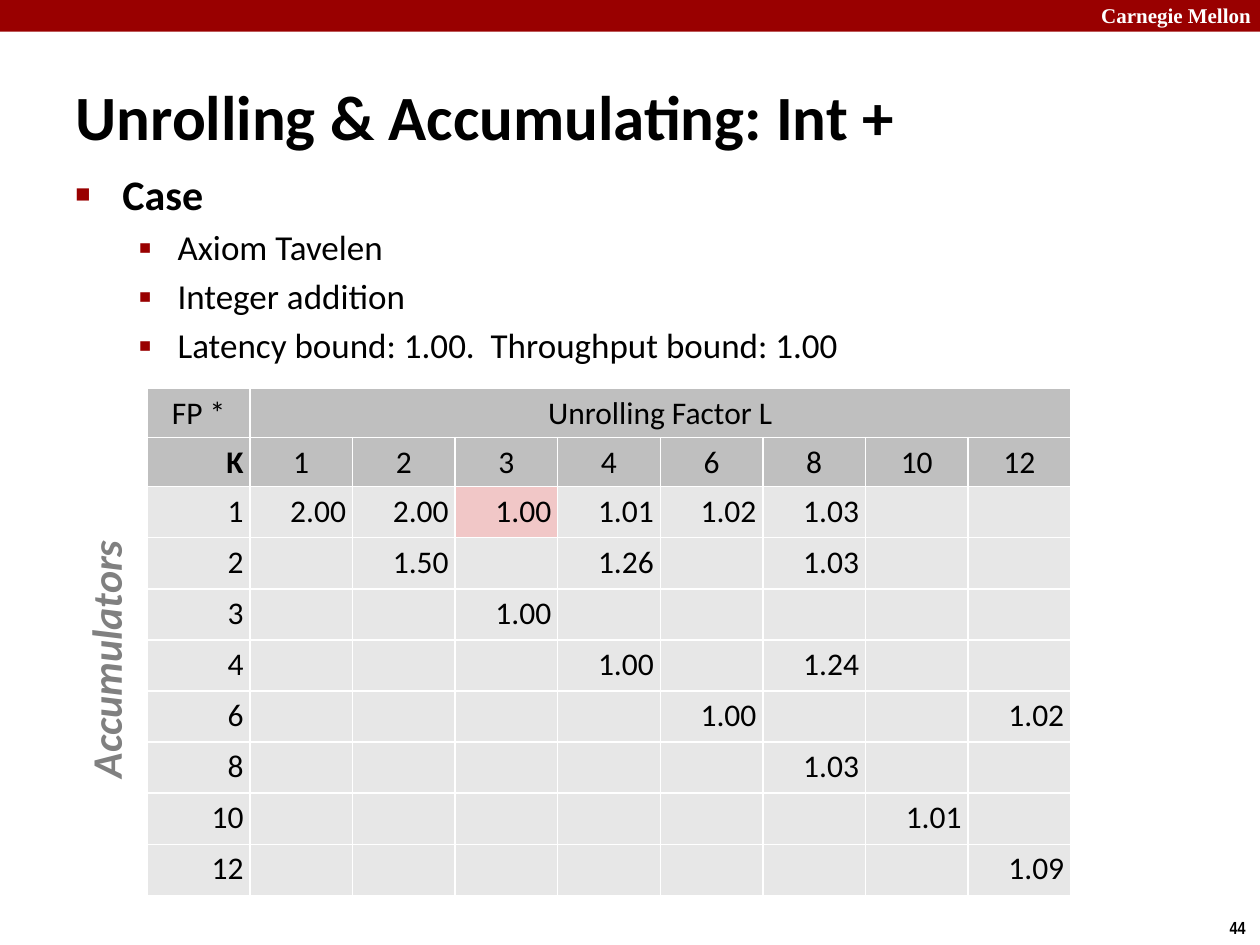
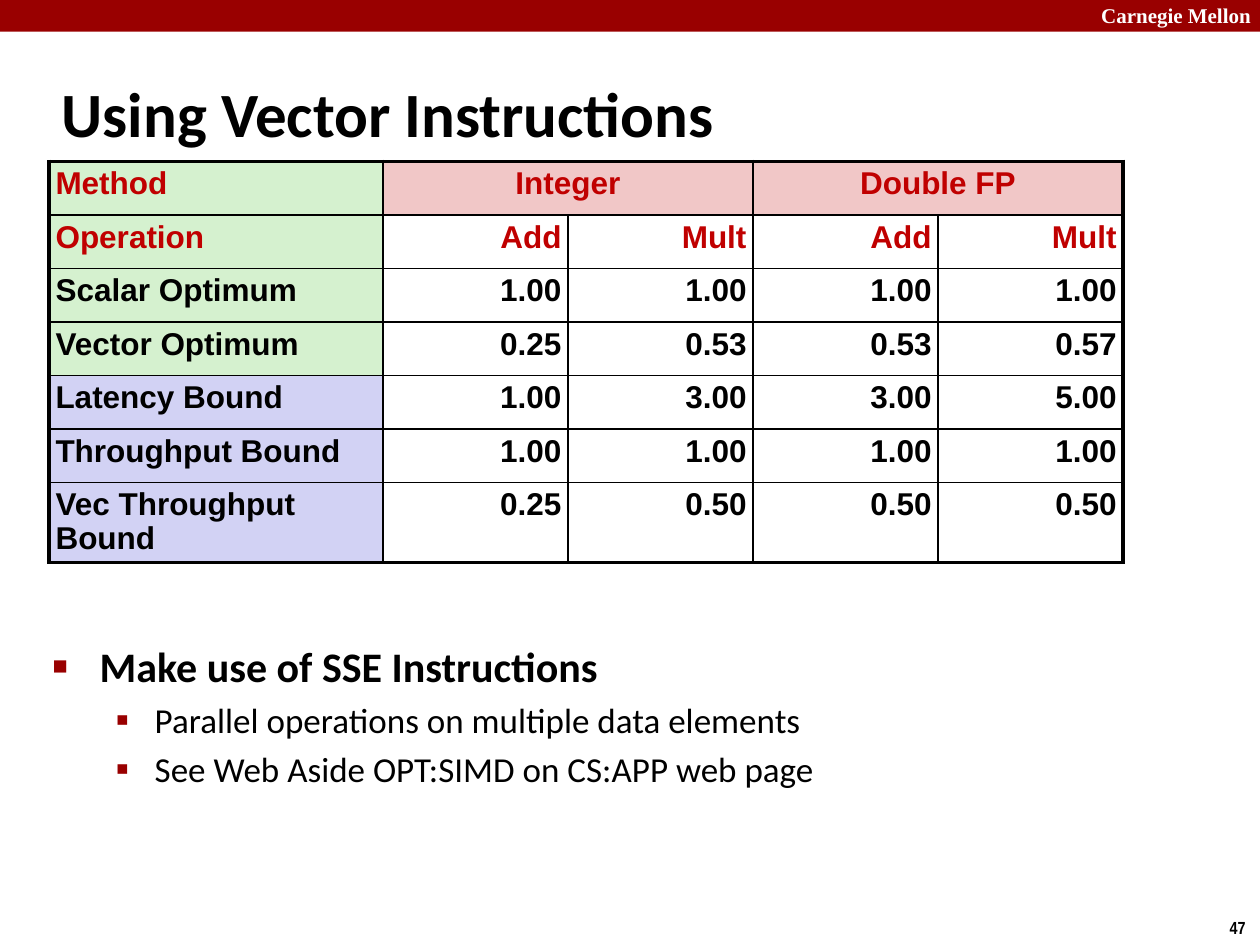
"""Build two lecture slides on loop unrolling and vector instructions."""
from dataclasses import dataclass

import pptx
import pptx.dml.color
import pptx.enum.shapes
import pptx.enum.text
import pptx.oxml
import pptx.oxml.ns
import pptx.util
from lxml import etree

Cm = pptx.util.Cm
Pt = pptx.util.Pt
Align = pptx.enum.text.PP_ALIGN


@dataclass(frozen=True)
class Theme:
    """Colours, fonts and type sizes that the slides share."""
    crimson: str = "990000"
    white: str = "FFFFFF"
    black: str = "000000"
    grey: str = "808080"
    header_grey: str = "BFBFBF"
    cell_grey: str = "E7E7E7"
    pink: str = "F1C7C7"
    green: str = "D5F1CF"
    lavender: str = "D2D2F4"
    red: str = "C00000"
    body_font: str = "Calibri"
    table_font: str = "Arial"
    band_font: str = "Times New Roman"
    number_font: str = "Arial Narrow"
    title_size: int = 36
    topic_size: int = 24
    detail_size: int = 20
    table_size: int = 18
    band_size: int = 12
    number_size: int = 10
    thin: float = 1
    thick: float = 2.25


@dataclass(frozen=True)
class Box:
    """A rectangle in centimetres."""
    left: float
    top: float
    width: float
    height: float

    def lengths(self):
        """Return the four sides as lengths."""
        return [Cm(side) for side in (self.left, self.top, self.width, self.height)]


THEME = Theme()
PAGE = Box(0, 0, 25.4, 19.05)


def rgb(code):
    """Turn a hex code into a colour."""
    return pptx.dml.color.RGBColor.from_string(code)


def format_runs(paragraph, size, color, font=THEME.body_font, bold=True, italic=False):
    """Give every run of a paragraph the same type."""
    for run in paragraph.runs:
        run.font.name = font
        run.font.size = Pt(size)
        run.font.bold = bold
        run.font.italic = italic
        run.font.color.rgb = rgb(color)


def add_label(slide, box, text, size, color, **type_style):
    """Add a one-line text box that leaves its right margin to the text."""
    label = slide.shapes.add_textbox(*box.lengths())
    label.text_frame.word_wrap = False
    label.text_frame.margin_right = 0
    label.text_frame.text = text
    label.text_frame.paragraphs[0].alignment = Align.LEFT
    format_runs(label.text_frame.paragraphs[0], size, color, **type_style)
    return label


def add_frame(slide, page, number):
    """Draw the top band and the slide number."""
    band = slide.shapes.add_shape(pptx.enum.shapes.MSO_SHAPE.RECTANGLE,
                                  *Box(page.left, page.top, page.width, 0.64).lengths())
    band.shadow.inherit = False
    band.fill.solid()
    band.fill.fore_color.rgb = rgb(THEME.crimson)
    band.line.fill.background()
    right, bottom = page.left + page.width, page.top + page.height
    add_label(slide, Box(right - 3.45, page.top - 0.08, 3.45, 0.76), "Carnegie Mellon",
              THEME.band_size, THEME.white, font=THEME.band_font)
    add_label(slide, Box(right - 0.86, bottom - 0.69, 0.86, 0.69), number,
              THEME.number_size, THEME.black, font=THEME.number_font)


def set_title(slide, box, text):
    """Place and format the title placeholder."""
    title = slide.shapes.title
    title.left, title.top, title.width, title.height = box.lengths()
    frame = title.text_frame
    frame.text = text
    frame.auto_size = pptx.enum.text.MSO_AUTO_SIZE.NONE
    frame.vertical_anchor = pptx.enum.text.MSO_ANCHOR.MIDDLE
    frame.paragraphs[0].alignment = Align.LEFT
    format_runs(frame.paragraphs[0], THEME.title_size, THEME.black)


def add_bullet(paragraph, mark, percent, margin, hanging):
    """Give a paragraph a coloured bullet and a hanging indent."""
    properties = paragraph._p.get_or_add_pPr()
    properties.set("marL", str(Cm(margin)))
    properties.set("indent", str(-Cm(hanging)))
    for tag, name, value in (("buClr", None, None), ("buSzPct", "val", percent * 1000),
                             ("buFont", "typeface", THEME.table_font),
                             ("buChar", "char", mark)):
        element = etree.SubElement(properties, pptx.oxml.ns.qn(f"a:{tag}"))
        if name:
            element.set(name, str(value))
        else:
            etree.SubElement(element, pptx.oxml.ns.qn("a:srgbClr")).set("val", THEME.crimson)


def add_outline(slide, box, topic, details):
    """Write a bold topic with its details below."""
    frame = slide.shapes.add_textbox(*box.lengths()).text_frame
    frame.word_wrap = True
    heading = frame.paragraphs[0]
    heading.text = topic
    add_bullet(heading, "■", 60, 0.95, 0.95)
    format_runs(heading, THEME.topic_size, THEME.black)
    for detail in details:
        line = frame.add_paragraph()
        line.text = detail
        add_bullet(line, "▪", 110, 2.06, 0.79)
        line.space_before = Pt(THEME.detail_size * 0.2)
        format_runs(line, THEME.detail_size, THEME.black, bold=False)


def add_grid(slide, box, widths, heights):
    """Add a plain table with the given column widths and row heights."""
    frame = slide.shapes.add_table(len(heights), len(widths), *box.lengths())
    grid = frame.table
    grid.first_row = grid.horz_banding = False
    for column, width in zip(grid.columns, widths):
        column.width = Cm(width)
    for row, height in zip(grid.rows, heights):
        row.height = Cm(height)
    return grid


def set_borders(cell, color, widths):
    """Draw the left, right, top and bottom borders of a cell."""
    properties = cell._tc.get_or_add_tcPr()
    for side, width in zip("LRTB", widths):
        line = etree.SubElement(properties, pptx.oxml.ns.qn(f"a:ln{side}"), w=str(Pt(width)))
        fill = etree.SubElement(line, pptx.oxml.ns.qn("a:solidFill"))
        etree.SubElement(fill, pptx.oxml.ns.qn("a:srgbClr"), val=color)


def fill_cell(cell, text, align, fill, **type_style):
    """Write, align and colour one cell."""
    cell.margin_left = cell.margin_right = cell.margin_top = Cm(0.13)
    cell.margin_bottom = Cm(0.02)
    if fill:
        cell.fill.solid()
        cell.fill.fore_color.rgb = rgb(fill)
    else:
        cell.fill.background()
    if text:
        cell.text_frame.text = text
        paragraph = cell.text_frame.paragraphs[0]
        paragraph.alignment = align
        paragraph.line_spacing = 0.95
        format_runs(paragraph, THEME.table_size, **type_style)


def add_unrolling_table(slide, box, factors, timings, best):
    """Show timings by accumulators K and unrolling factor L."""
    rows = [["FP *", "Unrolling Factor L"] + [""] * (len(factors) - 1),
            ["K"] + [str(factor) for factor in factors]]
    rows += [[str(k)] + [timings[k].get(factor, "") for factor in factors] for k in factors]
    column_count = len(factors) + 1
    heights = [0.99] * 2 + [(box.height - 2 * 0.99) / len(factors)] * len(factors)
    grid = add_grid(slide, box, [box.width / column_count] * column_count, heights)
    best_place = factors.index(best[0]) + 2, factors.index(best[1]) + 1
    for r, row in enumerate(rows):
        for c, text in enumerate(row):
            fill = THEME.header_grey if r < 2 else THEME.cell_grey
            if (r, c) == best_place:
                fill = THEME.pink
            centred = r == 0 or (r == 1 and c > 0)
            set_borders(grid.cell(r, c), THEME.white, [THEME.thin] * 4)
            fill_cell(grid.cell(r, c), text, Align.CENTER if centred else Align.RIGHT,
                      fill, color=THEME.black, bold=text == "K")
    grid.cell(0, 1).merge(grid.cell(0, len(factors)))


def add_method_table(slide, box, rows):
    """Compare methods and bounds for integer and floating-point operations."""
    value_width = 3.73
    widths = [box.width - 4 * value_width] + [value_width] * 4
    heights = [1.08] * (len(rows) - 1) + [box.height - 1.08 * (len(rows) - 1)]
    grid = add_grid(slide, box, widths, heights)
    last_row, last_column = len(rows) - 1, len(widths) - 1
    for r, row in enumerate(rows):
        for c, text in enumerate(row):
            if c == 0:
                align, fill = Align.LEFT, THEME.green if r < 4 else THEME.lavender
            elif r == 0:
                align, fill = Align.CENTER, THEME.pink
            else:
                align, fill = Align.RIGHT, None
            reach = c + 1 if r == 0 and c in (1, 3) else c
            on_edge = (c == 0, reach == last_column, r == 0, r == last_row)
            set_borders(grid.cell(r, c), THEME.black,
                        [THEME.thick if edge else THEME.thin for edge in on_edge])
            fill_cell(grid.cell(r, c), text, align, fill, font=THEME.table_font,
                      color=THEME.red if r < 2 else THEME.black)
    for c in (1, 3):
        grid.cell(0, c).merge(grid.cell(0, c + 1))


def build_unrolling_slide(slide, page):
    """Fill the slide on unrolling and accumulating."""
    add_frame(slide, page, "44")
    set_title(slide, Box(page.left + 1.27, page.top + 1.27, 21.08, 2.11),
              "Unrolling & Accumulating: Int +")
    add_outline(slide, Box(page.left + 1.27, page.top + 3.27, 23.09, 3.94), "Case",
                ["Axiom Tavelen", "Integer addition",
                 "Latency bound: 1.00.  Throughput bound: 1.00"])
    timings = {
        1: {1: "2.00", 2: "2.00", 3: "1.00", 4: "1.01", 6: "1.02", 8: "1.03"},
        2: {2: "1.50", 4: "1.26", 8: "1.03"},
        3: {3: "1.00"},
        4: {4: "1.00", 8: "1.24"},
        6: {6: "1.00", 12: "1.02"},
        8: {8: "1.03"},
        10: {10: "1.01"},
        12: {12: "1.09"},
    }
    add_unrolling_table(slide, Box(page.left + 2.97, page.top + 7.83, 18.62, 10.22),
                        list(timings), timings, best=(1, 3))
    accumulators = add_label(slide, Box(page.left - 0.56, page.top + 12.62, 5.36, 1.27),
                             "Accumulators", THEME.topic_size, THEME.grey, italic=True)
    accumulators.rotation = 270


def build_vector_slide(slide, page):
    """Fill the slide on vector instructions."""
    add_frame(slide, page, "47")
    set_title(slide, Box(page.left + 0.99, page.top + 1.21, 21.08, 2.11),
              "Using Vector Instructions")
    add_outline(slide, Box(page.left + 0.81, page.top + 12.79, 23.09, 5.21),
                "Make use of SSE Instructions",
                ["Parallel operations on multiple data elements",
                 "See Web Aside OPT:SIMD on CS:APP web page"])
    add_method_table(slide, Box(page.left + 0.99, page.top + 3.25, 21.65, 8.09), [
        ["Method", "Integer", "", "Double FP", ""],
        ["Operation", "Add", "Mult", "Add", "Mult"],
        ["Scalar Optimum", "1.00", "1.00", "1.00", "1.00"],
        ["Vector Optimum", "0.25", "0.53", "0.53", "0.57"],
        ["Latency Bound", "1.00", "3.00", "3.00", "5.00"],
        ["Throughput Bound", "1.00", "1.00", "1.00", "1.00"],
        ["Vec Throughput Bound", "0.25", "0.50", "0.50", "0.50"],
    ])


def main():
    """Build and save the presentation."""
    deck = pptx.Presentation()
    deck.slide_width, deck.slide_height = Cm(PAGE.width), Cm(PAGE.height)
    title_only = deck.slide_layouts[5]
    for build in (build_unrolling_slide, build_vector_slide):
        build(deck.slides.add_slide(title_only), PAGE)
    deck.save("out.pptx")


if __name__ == "__main__":
    main()
